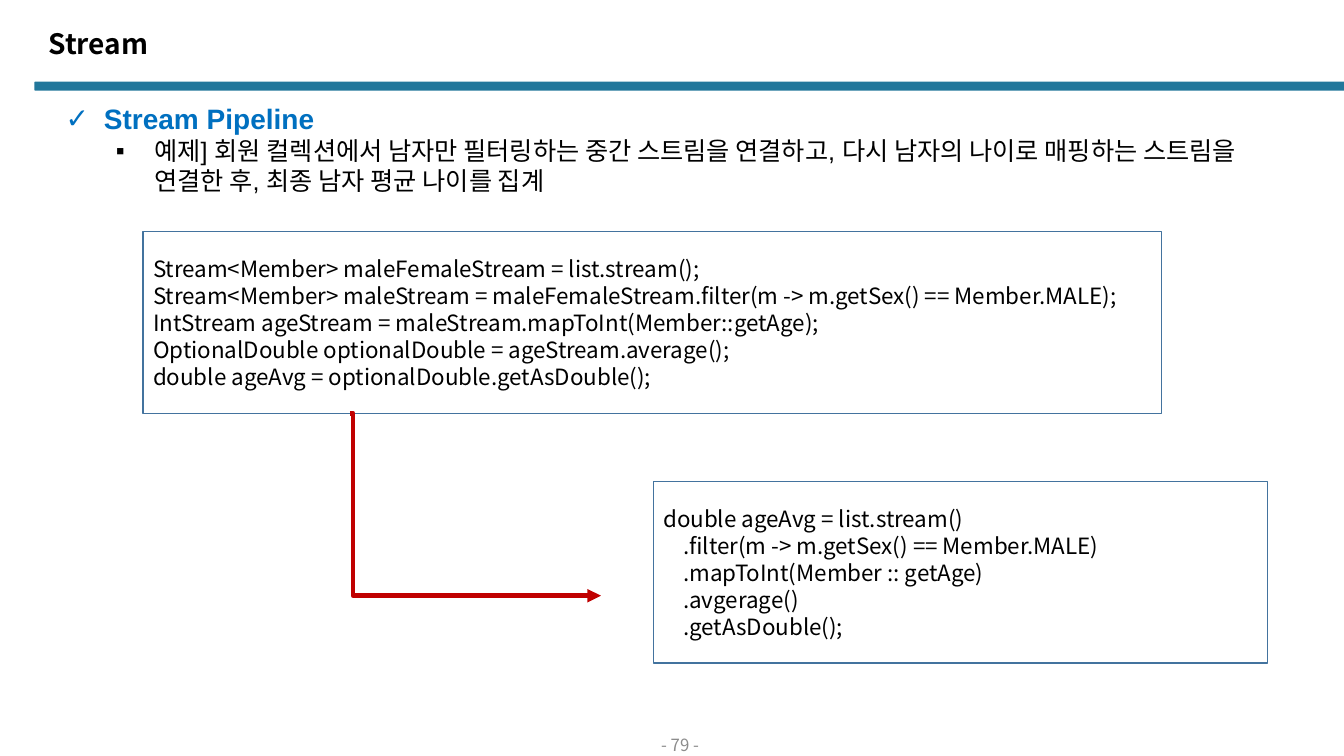
from lxml import etree
from pptx import Presentation
from pptx.dml.color import RGBColor
from pptx.enum import shapes, text
from pptx.oxml.ns import qn
from pptx.util import Inches, Pt

SANS = "Noto Sans CJK KR"
STREAM_STEPS = [
    "Stream<Member> maleFemaleStream = list.stream();",
    "Stream<Member> maleStream = maleFemaleStream.filter(m -> m.getSex() == Member.MALE);",
    "IntStream ageStream = maleStream.mapToInt(Member::getAge);",
    "OptionalDouble optionalDouble = ageStream.average();",
    "double ageAvg = optionalDouble.getAsDouble();",
]
CHAINED_CALLS = [
    "double ageAvg = list.stream()",
    "    .filter(m -> m.getSex() == Member.MALE)",
    "    .mapToInt(Member :: getAge)",
    "    .avgerage()",
    "    .getAsDouble();",
]
EXAMPLE = ("예제] 회원 컬렉션에서 남자만 필터링하는 중간 스트림을 연결하고, "
           "다시 남자의 나이로 매핑하는 스트림을 연결한 후, 최종 남자 평균 나이를 집계")


def rgb(color):
    return RGBColor.from_string(color)


def place(shape, box):
    shape.left, shape.top, shape.width, shape.height = map(Inches, box)


def style(paragraph, size, color="000000", bold=False, name=SANS,
          align=text.PP_ALIGN.LEFT):
    paragraph.alignment = align
    paragraph.space_before = Pt(0)
    font = paragraph.font
    font.size, font.bold, font.name = Pt(size), bold, name
    font.color.rgb = rgb(color)
    defaults = paragraph._p.pPr.find(qn("a:defRPr"))
    etree.SubElement(defaults, qn("a:ea"), typeface=SANS)


def add_bullet(paragraph, char, margin, hanging):
    properties = paragraph._p.get_or_add_pPr()
    properties.set("marL", str(Inches(margin)))
    properties.set("indent", str(-Inches(hanging)))
    etree.SubElement(properties, qn("a:buChar"), char=char)


def add_filled_shape(slide, kind, box, fill):
    shape = slide.shapes.add_shape(kind, *map(Inches, box))
    shape.shadow.inherit = False
    shape.fill.solid()
    shape.fill.fore_color.rgb = rgb(fill)
    return shape


def add_header(slide, box):
    left, top, width, height = box
    rule = add_filled_shape(slide, shapes.MSO_SHAPE.ROUNDED_RECTANGLE,
                            (left, top + height - 0.09, width, 0.09), "22779B")
    rule.adjustments[0] = 0.13
    rule.line.fill.background()

    title = slide.shapes.title
    place(title, (left + 0.04, top, 12, 0.47))
    frame = title.text_frame
    frame.auto_size = text.MSO_AUTO_SIZE.NONE
    frame.vertical_anchor = text.MSO_ANCHOR.TOP
    frame.text = "Stream"
    frame.paragraphs[0].line_spacing = 0.9
    style(frame.paragraphs[0], 20, bold=True)


def add_topic(slide, box):
    body = slide.placeholders[1]
    place(body, box)
    frame = body.text_frame
    frame.auto_size = text.MSO_AUTO_SIZE.NONE
    frame.text = "Stream Pipeline"
    topic = frame.paragraphs[0]
    add_bullet(topic, "✓", 0.38, 0.38)
    style(topic, 20, "0070C0", True, "Arial")

    example = frame.add_paragraph()
    example.text = EXAMPLE
    example.level = 1
    add_bullet(example, "▪", 0.88, 0.38)
    style(example, 18, name="Arial")


def add_code_box(slide, box, lines):
    code_box = add_filled_shape(slide, shapes.MSO_SHAPE.RECTANGLE, box, "FFFFFF")
    code_box.line.color.rgb = rgb("43739E")
    code_box.line.width = Pt(1)
    frame = code_box.text_frame
    frame.word_wrap = True
    frame.vertical_anchor = text.MSO_ANCHOR.MIDDLE
    frame.text = "\n".join(lines)
    for paragraph in frame.paragraphs:
        style(paragraph, 16)


def add_elbow_arrow(slide, box):
    """Drop from the top left of the box, then run to its bottom right."""
    left, top, width, height = box
    arrow = slide.shapes.add_connector(
        shapes.MSO_CONNECTOR.ELBOW, Inches(left), Inches(top),
        Inches(left + width), Inches(top + height))
    arrow.line.color.rgb = rgb("C00000")
    arrow.line.width = Pt(3.25)
    properties = arrow._element.spPr
    guides = properties.find(qn("a:prstGeom")).get_or_add_avLst()
    etree.SubElement(guides, qn("a:gd"), name="adj1", fmla="val 1300")
    etree.SubElement(arrow.line._get_or_add_ln(), qn("a:tailEnd"), type="triangle")
    etree.SubElement(properties, qn("a:effectLst"))


def add_page_number(slide, box):
    page = slide.shapes.add_textbox(*map(Inches, box))
    frame = page.text_frame
    frame.word_wrap = True
    frame.vertical_anchor = text.MSO_ANCHOR.MIDDLE
    frame.text = "- 79 -"
    style(frame.paragraphs[0], 12, "8C8C8C", align=text.PP_ALIGN.CENTER)


def main():
    deck = Presentation()
    deck.slide_width, deck.slide_height = Inches(13.33), Inches(7.5)
    slide = deck.slides.add_slide(deck.slide_layouts[1])
    add_header(slide, (0.34, 0.25, 13.02, 0.65))
    add_topic(slide, (0.55, 0.96, 12.44, 1.04))
    add_code_box(slide, (1.42, 2.3, 10.1, 1.8), STREAM_STEPS)
    add_code_box(slide, (6.48, 4.78, 6.09, 1.8), CHAINED_CALLS)
    add_elbow_arrow(slide, (3.47, 4.1, 2.49, 1.81))
    add_page_number(slide, (5.19, 7.27, 3.11, 0.23))
    deck.save("out.pptx")


if __name__ == "__main__":
    main()
